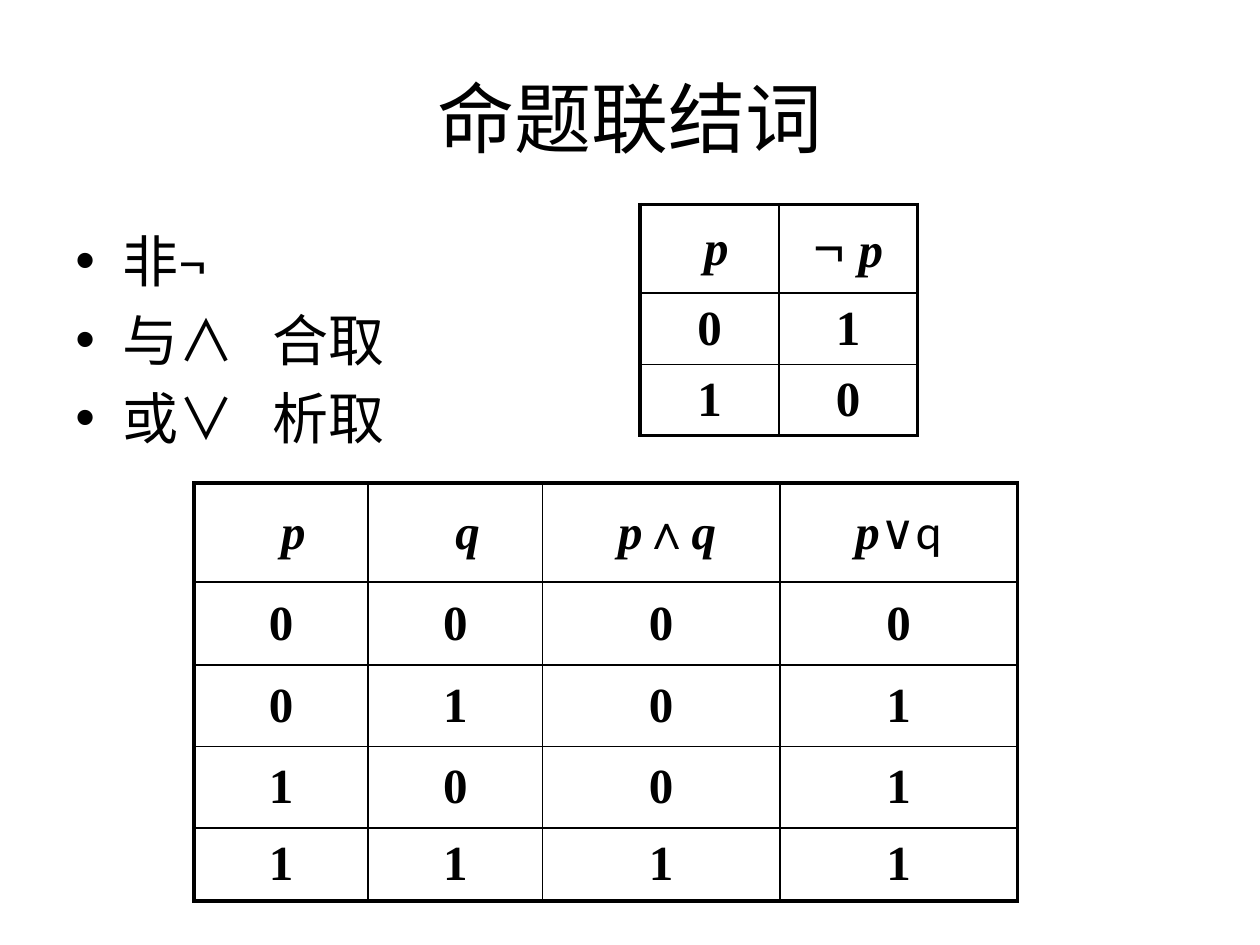
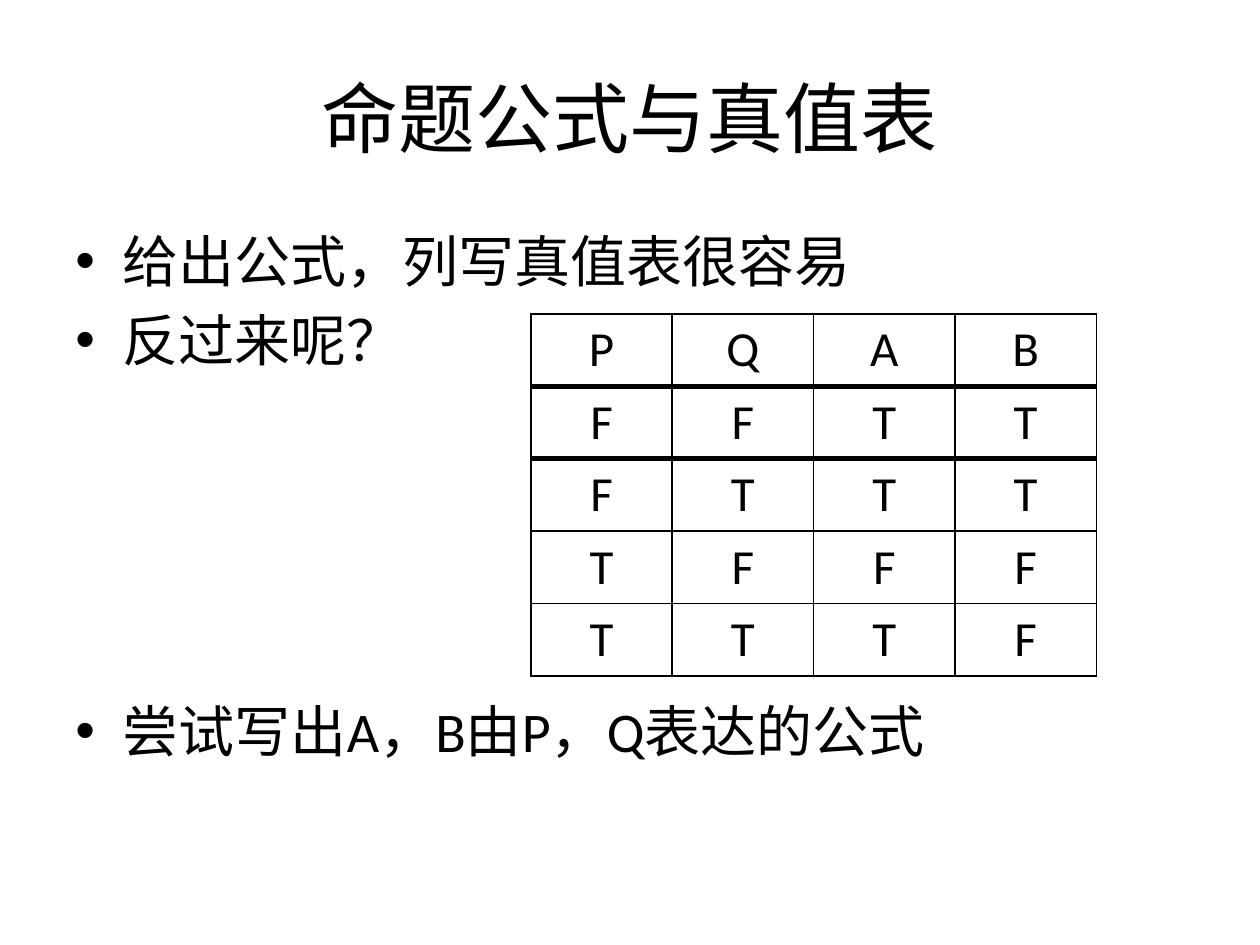
from lxml import etree
from pptx import Presentation
from pptx.dml.color import RGBColor
from pptx.enum.text import MSO_ANCHOR, PP_ALIGN
from pptx.oxml.ns import qn
from pptx.util import Pt

BLACK = RGBColor(0, 0, 0)
WHITE = RGBColor(255, 255, 255)
SANS, SERIF, PLAIN = "Calibri", "Times New Roman", "Arial"
CENTER = PP_ALIGN.CENTER
MIDDLE, TOP = MSO_ANCHOR.MIDDLE, MSO_ANCHOR.TOP
LEFT, WIDTH = 36, 648
INDENT, GAP, TAB = 27, 6.4, 112.8
THIN, FRAME, THICK = 1, 2.25, 3
MATH = dict(size=28, font=SERIF, bold=True)
VAR = dict(MATH, italic=True)
CELL = dict(size=28)


def write(par, text, size=32, font=SANS, bold=False, italic=False):
    """Add one formatted run to a paragraph."""
    run = par.add_run()
    run.text = text
    face = run.font
    face.size, face.name = Pt(size), font
    face.bold, face.italic = bold, italic
    face.color.rgb = BLACK


def add_box(slide, top, height, anchor):
    """Add a wrapping text box of the shared width; return its frame."""
    box = slide.shapes.add_textbox(Pt(LEFT), Pt(top), Pt(WIDTH), Pt(height))
    frame = box.text_frame
    frame.word_wrap = True
    frame.vertical_anchor = anchor
    return frame


def add_slide(deck, title):
    """Add a white slide with its centred title."""
    slide = deck.slides.add_slide(deck.slide_layouts[6])
    fill = slide.background.fill
    fill.solid()
    fill.fore_color.rgb = WHITE
    par = add_box(slide, 21.6, 90, MIDDLE).paragraphs[0]
    par.alignment = CENTER
    write(par, title, size=44)
    return slide


def add_list(slide, items):
    """Add bullets from pairs of text and space before."""
    frame = add_box(slide, 126, 356.4, TOP)
    for i, (text, space) in enumerate(items):
        par = frame.add_paragraph() if i else frame.paragraphs[0]
        par.space_before = Pt(space)
        write(par, text)
        props = par._p.get_or_add_pPr()
        props.set("marL", str(Pt(INDENT)))
        props.set("indent", str(-Pt(INDENT)))
        etree.SubElement(props, qn("a:buFont"), typeface=PLAIN)
        etree.SubElement(props, qn("a:buChar"), char="•")
        if "\t" in text:
            tabs = etree.SubElement(props, qn("a:tabLst"))
            etree.SubElement(tabs, qn("a:tab"), pos=str(Pt(TAB)), algn="l")


def set_edges(cell, widths):
    """Draw the left, right, top and bottom lines of a cell."""
    props = cell._tc.get_or_add_tcPr()
    for i, (side, width) in enumerate(zip("LRTB", widths)):
        line = etree.Element(qn("a:ln" + side), w=str(Pt(width)))
        fill = etree.SubElement(line, qn("a:solidFill"))
        etree.SubElement(fill, qn("a:srgbClr"), val=str(BLACK))
        props.insert(i, line)


def add_grid(slide, left, top, cols, rows, cells, across, down):
    """Add a table; across and down give line widths by line index.

    Each cell is a list of runs, each a text and its format.
    """
    shape = slide.shapes.add_table(len(rows), len(cols), Pt(left), Pt(top),
                                   Pt(sum(cols)), Pt(sum(rows)))
    table = shape.table
    table.first_row = table.horz_banding = False
    for col, width in zip(table.columns, cols):
        col.width = Pt(width)
    for row, height in zip(table.rows, rows):
        row.height = Pt(height)
    for r, line in enumerate(cells):
        for c, runs in enumerate(line):
            cell = table.cell(r, c)
            cell.fill.background()
            cell.vertical_anchor = MIDDLE
            set_edges(cell, (down[c], down[c + 1], across[r], across[r + 1]))
            par = cell.text_frame.paragraphs[0]
            par.alignment = CENTER
            for text, form in runs:
                write(par, text, **form)
    return table


def framed(count):
    """Return line widths for count cells inside a heavy frame."""
    return [FRAME] + [THIN] * (count - 1) + [FRAME]


def plain(lines, form):
    """Turn strings of one-letter values into rows of cells."""
    return [[[(mark, form)] for mark in line] for line in lines]


def add_words(deck):
    """Build the slide on connectives."""
    slide = add_slide(deck, "命题联结词")
    add_list(slide, [("非¬", GAP), ("与∧\t合取", GAP), ("或∨\t析取", GAP)])

    head = [[(" ", dict(VAR, font=PLAIN)), ("p", VAR)],
            [("¬", dict(MATH, size=32)), (" ", dict(MATH, font=PLAIN)),
             ("p", VAR)]]
    add_grid(slide, 365.8, 116.9, [79.2] * 2, [50.4, 40, 39.6],
             [head] + plain(["01", "10"], MATH), framed(3), framed(2))

    head = [[("p", VAR)], [("q", VAR)],
            [(" p", VAR), ("∧", MATH), ("q", VAR)],
            [("p", VAR), ("∨q", CELL)]]
    table = add_grid(slide, 110.9, 276, [99.5] * 2 + [135.7] * 2,
                     [56.6, 47.5, 46.4, 46.6, 41.8],
                     [head] + plain(["0000", "0101", "1001", "1111"], MATH),
                     framed(5), framed(4))
    for c in range(2):
        par = table.cell(0, c).text_frame.paragraphs[0]
        par._p.get_or_add_pPr().set("marL", str(Pt(14)))


def add_truth(deck):
    """Build the slide on formulas and truth tables."""
    slide = add_slide(deck, "命题公式与真值表")
    add_list(slide, [("给出公式，列写真值表很容易", GAP),
                     ("反过来呢？", GAP),
                     ("尝试写出A，B由P，Q表达的公式", 185)])
    add_grid(slide, 303.3, 179.4, [80.8] * 4, [41.4] * 5,
             plain(["PQAB", "FFTT", "FTTT", "TFFF", "TTTF"], CELL),
             [THIN, THICK, THICK, THIN, THIN, THIN], [THIN] * 5)


def main():
    """Build and save the deck."""
    deck = Presentation()
    deck.slide_width, deck.slide_height = Pt(720), Pt(540)
    add_words(deck)
    add_truth(deck)
    deck.save("out.pptx")


main()
